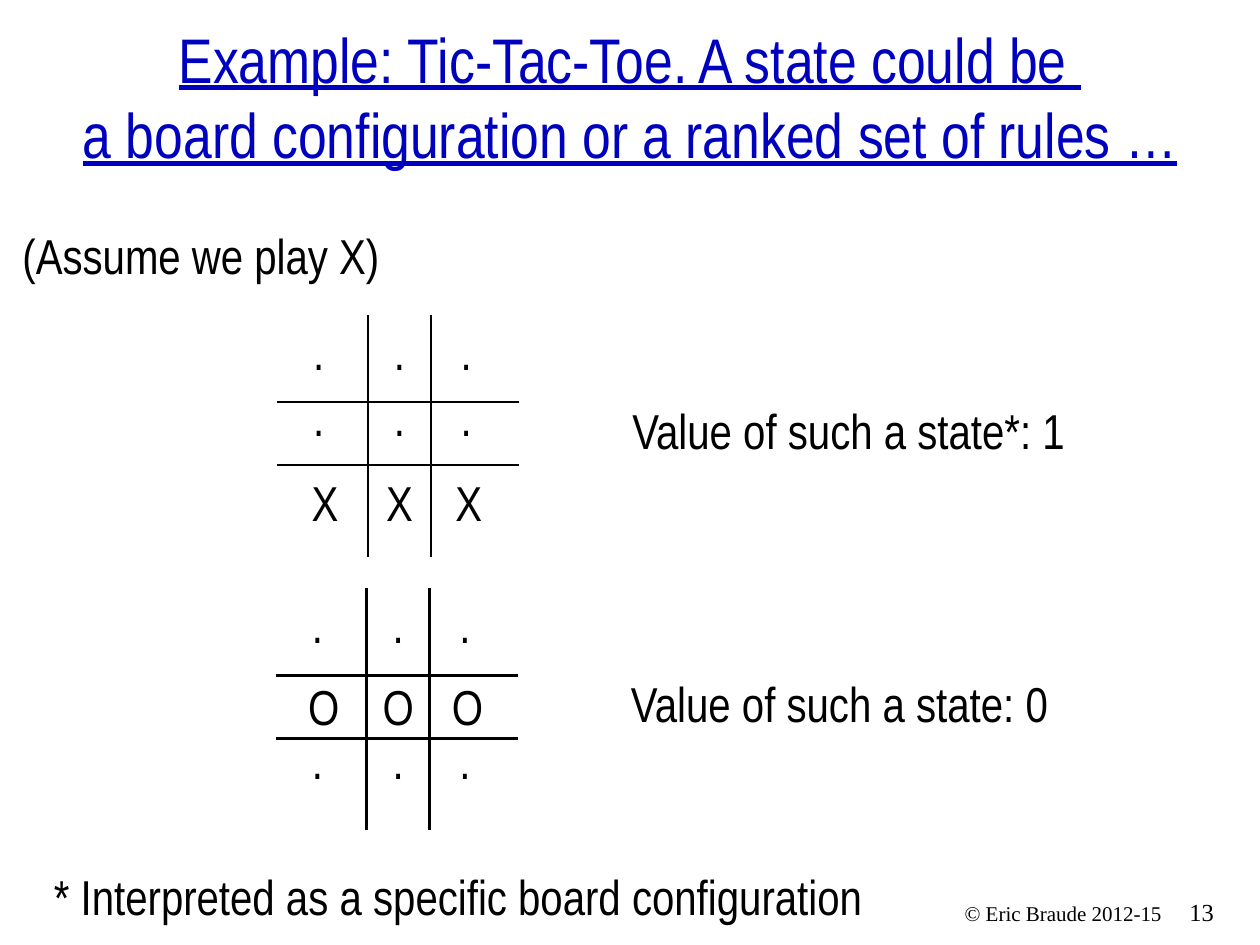
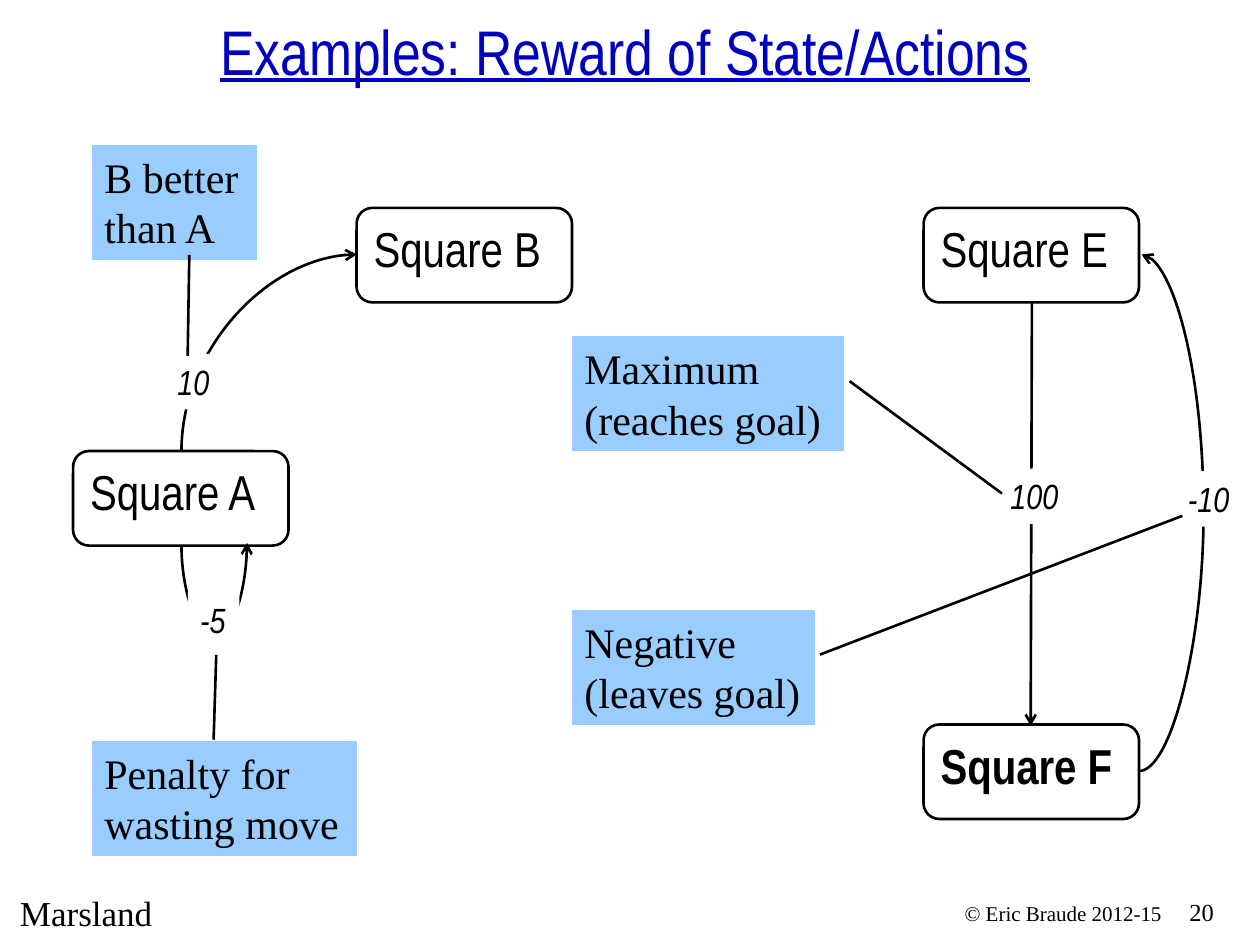
from dataclasses import dataclass

from lxml import etree
from pptx import Presentation
from pptx.dml.color import RGBColor
from pptx.enum.shapes import MSO_CONNECTOR, MSO_SHAPE
from pptx.enum.text import MSO_ANCHOR, PP_ALIGN
from pptx.oxml.ns import qn
from pptx.util import Inches, Pt

LEFT, CENTER, RIGHT = PP_ALIGN.LEFT, PP_ALIGN.CENTER, PP_ALIGN.RIGHT
TOP, BOTTOM = MSO_ANCHOR.TOP, MSO_ANCHOR.BOTTOM
STRAIGHT, CURVE = MSO_CONNECTOR.STRAIGHT, MSO_CONNECTOR.CURVE
RECTANGLE, ROUNDED = MSO_SHAPE.RECTANGLE, MSO_SHAPE.ROUNDED_RECTANGLE
CALLOUT = MSO_SHAPE.LINE_CALLOUT_1_NO_BORDER


@dataclass(frozen=True)
class Theme:
    ink: RGBColor = RGBColor(0, 0, 0)
    title: RGBColor = RGBColor(0x00, 0x00, 0xBF)
    paper: RGBColor = RGBColor(255, 255, 255)
    note: RGBColor = RGBColor(0x99, 0xCC, 0xFF)
    sans: str = "Arial Narrow"
    serif: str = "Times New Roman"
    title_size: int = 36
    body_size: int = 28
    note_size: int = 24
    label_size: int = 20
    number_size: int = 14
    credit_size: int = 12
    line_width: float = 1.5


THEME = Theme()
SQUARE_SIZE = (1.71, 0.75)


def inches(*lengths):
    return [Inches(length) for length in lengths]


def write(shape, text, size=THEME.body_size, font=THEME.sans, color=THEME.ink,
          align=LEFT, anchor=TOP, wrap=True, spaced=False,
          bold=False, italic=False, underline=False):
    frame = shape.text_frame
    frame.text = text
    frame.word_wrap = wrap
    frame.vertical_anchor = anchor
    paragraph = frame.paragraphs[0]
    paragraph.alignment = align
    if spaced:
        before = etree.SubElement(paragraph._p.get_or_add_pPr(), qn("a:spcBef"))
        etree.SubElement(before, qn("a:spcPct"), val="50000")
    for run in paragraph.runs:
        run.font.name = font
        run.font.size = Pt(size)
        run.font.color.rgb = color
        run.font.bold = bold
        run.font.italic = italic
        run.font.underline = underline


def add_text(slide, box, text, **style):
    write(slide.shapes.add_textbox(*inches(*box)), text, **style)


def add_box(slide, kind, box, fill=None, outlined=True):
    shape = slide.shapes.add_shape(kind, *inches(*box))
    shape.shadow.inherit = False
    if fill is None:
        shape.fill.background()
    else:
        shape.fill.solid()
        shape.fill.fore_color.rgb = fill
    if outlined:
        shape.line.color.rgb = THEME.ink
        shape.line.width = Pt(THEME.line_width)
    else:
        shape.line.fill.background()
    return shape


def add_line(slide, start, end, kind=STRAIGHT, arrow=False):
    line = slide.shapes.add_connector(kind, *inches(*start, *end))
    line.line.color.rgb = THEME.ink
    line.line.width = Pt(THEME.line_width)
    if arrow:
        etree.SubElement(line.line._get_or_add_ln(), qn("a:tailEnd"), type="arrow")
    etree.SubElement(line._element.spPr, qn("a:effectLst"))
    return line


def add_curve(slide, start, end, bulge=None, turned=False):
    across, down = abs(end[0] - start[0]), abs(end[1] - start[1])
    travel = down if turned else across
    if turned:
        middle_x, middle_y = (start[0] + end[0]) / 2, (start[1] + end[1]) / 2
        start = (middle_x + down / 2, middle_y + across / 2)
        end = (middle_x - down / 2, middle_y - across / 2)
    curve = add_line(slide, start, end, CURVE, arrow=True)
    properties = curve._element.spPr
    if turned:
        properties.find(qn("a:xfrm")).set("rot", str(90 * 60000))
    geometry = properties.find(qn("a:prstGeom"))
    if bulge is None:
        geometry.set("prst", "curvedConnector2")
    else:
        guides = geometry.find(qn("a:avLst"))
        if guides is None:
            guides = etree.SubElement(geometry, qn("a:avLst"))
        ratio = round(bulge / travel * 100000)
        etree.SubElement(guides, qn("a:gd"), name="adj1", fmla=f"val {ratio}")


def add_square(slide, left, top, name, bold=False):
    square = add_box(slide, ROUNDED, (left, top, *SQUARE_SIZE))
    write(square, f"Square {name}", spaced=True, bold=bold)


def add_reward(slide, left, top, width, value):
    label = add_box(slide, RECTANGLE, (left, top, width, 0.44), THEME.paper, False)
    write(label, value, THEME.label_size, wrap=False, italic=True)


def add_callout(slide, left, top, width, text, pointer):
    callout = add_box(slide, CALLOUT, (left, top, width, 0.91), THEME.note)
    for index, fraction in enumerate(pointer):
        callout.adjustments[index] = fraction
    write(callout, text, THEME.note_size, THEME.serif, spaced=True)


def add_board(slide, left, top, rows):
    for x in (0.72, 1.22):
        add_line(slide, (left + x, top), (left + x, top + 1.92))
    for y in (0.69, 1.19):
        add_line(slide, (left, top + y), (left + 1.92, top + y))
    for row, y in zip(rows, (0, 0.53, 1.08)):
        dots = row == "..."
        columns = (0.08, 0.72, 1.25) if dots else (0.13, 0.72, 1.27)
        drop, height = (0, 0.75) if dots else (0.12, 0.5)
        for mark, x in zip(row, columns):
            add_text(slide, (left + x, top + y + drop, 0.5, height), mark,
                     align=CENTER, spaced=True)


def start_slide(deck, number, title, title_left, title_top):
    slide = deck.slides.add_slide(deck.slide_layouts[6])
    add_text(slide, (9.34, 7.07, 0.58, 0.33), number,
             size=THEME.number_size, font=THEME.serif)
    add_text(slide, (6.65, 7.1, 2.67, 0.3), "© Eric Braude 2012-15",
             size=THEME.credit_size, font=THEME.serif, align=RIGHT, spaced=True)
    add_text(slide, (title_left, title_top, 9.92, 0.54), title,
             size=THEME.title_size, color=THEME.title, align=CENTER,
             anchor=BOTTOM, underline=True)
    return slide


def build_tic_tac_toe(deck):
    slide = start_slide(
        deck, "13",
        "Example: Tic-Tac-Toe. A state could be \v"
        "a board configuration or a ranked set of rules …", 0.04, 0.87)
    add_text(slide, (0.08, 1.74, 5.67, 0.57), "(Assume we play X)")
    boards = (
        (2.2, 2.5, ("...", "...", "XXX"), "Value of such a state*: 1"),
        (2.19, 4.67, ("...", "OOO", "..."), "Value of such a state: 0"),
    )
    for left, top, rows, value in boards:
        add_board(slide, left, top, rows)
        add_text(slide, (left + 2.72, top + 0.63, 4, 0.57), value)
    add_text(slide, (0.33, 6.83, 7, 0.57),
             "* Interpreted as a specific board configuration")


def build_rewards(deck):
    slide = start_slide(deck, "20", "Examples: Reward of State/Actions", 0, 0.21)
    add_text(slide, (0.06, 7.03, 2.31, 0.44), "Marsland",
             size=THEME.label_size, font=THEME.serif)

    add_square(slide, 0.58, 3.58, "A")
    add_square(slide, 2.83, 1.65, "B")
    add_square(slide, 7.33, 1.65, "E")
    add_square(slide, 7.33, 5.75, "F", bold=True)

    add_curve(slide, (1.44, 3.58), (2.83, 2.02), turned=True)
    add_curve(slide, (1.44, 4.33), (1.96, 4.31), bulge=-0.73, turned=True)
    add_curve(slide, (9.04, 6.12), (9.06, 2.02), bulge=0.51)
    add_line(slide, (8.19, 2.4), (8.18, 5.76), arrow=True)

    for reward in ((1.31, 2.81, 0.46, "10"), (7.92, 3.72, 0.59, "100"),
                   (9.33, 3.74, 0.54, "-10"), (1.49, 4.7, 0.41, "-5")):
        add_reward(slide, *reward)

    callouts = (
        (4.54, 2.67, 2.16, "Maximum (reaches goal)", (0.39, 1.02, 1.37, 1.58)),
        (4.54, 4.84, 1.93, "Negative (leaves goal)", (0.39, 1.02, -0.82, 2.51)),
        (0.73, 5.88, 2.1, "Penalty for wasting move", (-0.01, 0.46, -0.75, 0.47)),
        (0.73, 1.15, 1.31, "B better than A", (0.96, 0.59, 1.84, 0.58)),
    )
    for callout in callouts:
        add_callout(slide, *callout)


def main():
    deck = Presentation()
    deck.slide_width, deck.slide_height = inches(10, 7.5)
    build_tic_tac_toe(deck)
    build_rewards(deck)
    deck.save("out.pptx")


if __name__ == "__main__":
    main()
